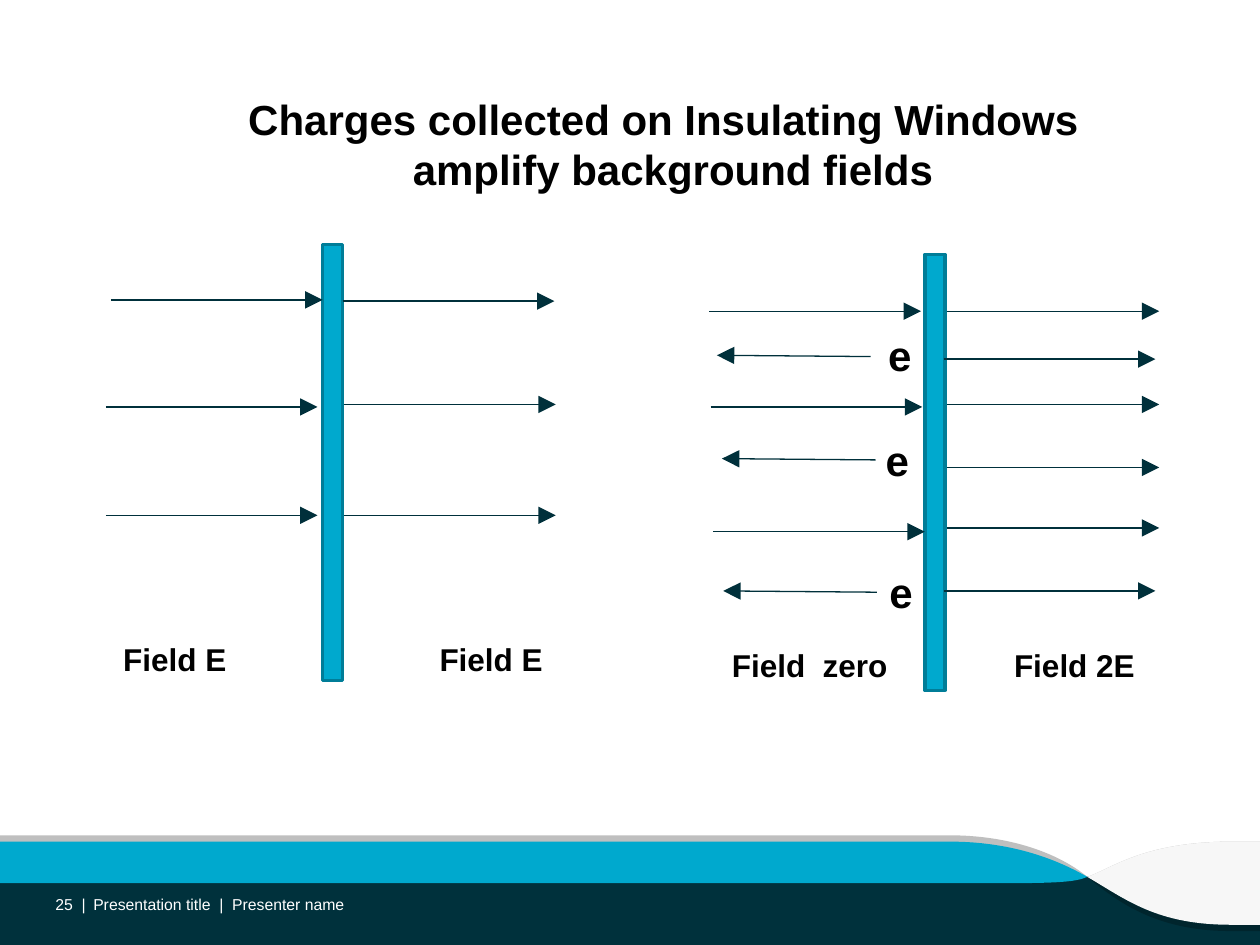
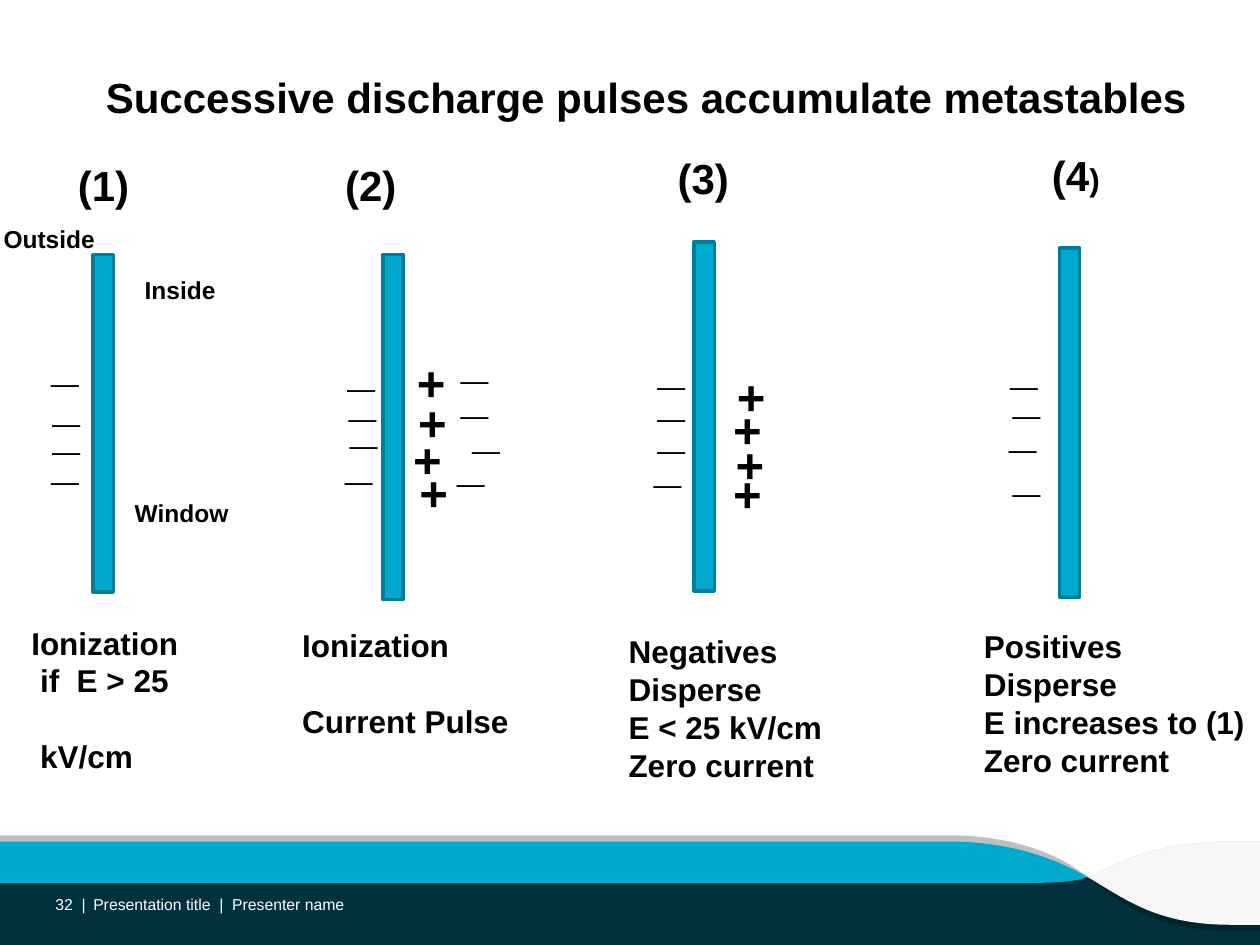
"""Build two slides on window charging, laid out on a grid of 100 columns by 75 rows."""
import dataclasses
import typing

import pptx
import pptx.dml.color
import pptx.enum.shapes
import pptx.enum.text
import pptx.oxml
import pptx.oxml.ns
import pptx.shapes.base
import pptx.slide
import pptx.util

COLUMNS, ROWS = 100, 75
WIDTH, HEIGHT = pptx.util.Inches(10), pptx.util.Inches(7.5)
FONT = "Arial"
BLACK, WHITE = "000000", "FFFFFF"
DEEP, EDGE, GREY, PALE = "00313C", "00252D", "BFBFBF", "F7F7F7"
CYAN, CYAN_LINE, ARROW = "00A9CE", "007D98", "00303B"
LEFT, CENTER, RIGHT = (pptx.enum.text.PP_ALIGN.LEFT, pptx.enum.text.PP_ALIGN.CENTER,
                       pptx.enum.text.PP_ALIGN.RIGHT)
TITLE_SIZE, LABEL_SIZE, NOTE_SIZE, CHARGE_SIZE, FOOTER_SIZE = 24, 18, 14, 28, 9
PANE_WIDTH = 1.6
LAYOUT_ID_OFFSET = 100

Point = tuple[float, float]
Step = tuple[float, ...]
FORWARD: Point = (16.8, 0)
BACKWARD: Point = (-12.2, -0.1)


class Area(typing.NamedTuple):
    """A rectangle in columns and rows."""
    left: float
    top: float
    width: float
    height: float


@dataclasses.dataclass(frozen=True)
class Label:
    """A piece of text in its place."""
    text: str
    area: Area
    size: float = LABEL_SIZE


@dataclasses.dataclass(frozen=True)
class Band:
    """A filled curve of the footer; steps hold one line end or three curve points."""
    color: str
    outlines: tuple[tuple[Step, ...], ...]


@dataclasses.dataclass(frozen=True)
class Stage:
    """One step of the discharge cycle."""
    number: str
    number_at: Point
    pane: Area
    caption: str
    caption_area: Area
    minuses: tuple[Point, ...]
    pluses: tuple[Point, ...] = ()
    gap_before: int = -1
    wrap: bool = True
    tail: str = ""


CROSSING = (86.3, 69.6)
RISE = (90.8, 66.8, 88.3, 68.9, *CROSSING)
TAPER = (84, 70.1, 85.4, 70, *CROSSING)
BANDS = (
    Band(GREY, (((100, 66.8), (97.8, 66.8), RISE, (100, 69.6)),
                ((75.4, 66.3), (0, 66.3), (0, 69.6), CROSSING,
                 (84, 67.7, 80.1, 66.3, 75.4, 66.3)))),
    Band(EDGE, ((CROSSING, (0, 69.6), (0, 70.1), (79.5, 70.1), TAPER),
                ((100, 69.6), CROSSING, (88.7, 71.6, 91.8, 73.9, 97.7, 73.9), (100, 73.9)))),
    Band(CYAN, ((CROSSING, (83.7, 68.1, 80.1, 66.8, 75.4, 66.8), (0, 66.8), (0, 70.1),
                 (79.5, 70.1), TAPER),)),
    Band(PALE, (((97.8, 66.8), RISE, (89.4, 71.4, 91.8, 73.4, 97.7, 73.4),
                 (100, 73.4), (100, 66.8)),)),
)

FIELD_PANES = (Area(25.6, 19.4, PANE_WIDTH, 34.6), Area(73.4, 20.2, PANE_WIDTH, 34.6))
FIELD_LABELS = (
    Label("Field E", Area(8.8, 50.3, 10.3, 4)),
    Label("Field E", Area(33.9, 50.3, 10.3, 4)),
    Label("Field 2E", Area(79.5, 50.8, 11.7, 4)),
    Label("Field  zero", Area(57.1, 50.8, 14.5, 4)),
    Label("e", Area(69.5, 25.7, 3.9, 5), TITLE_SIZE),
    Label("e", Area(69.3, 34, 3.9, 5), TITLE_SIZE),
    Label("e", Area(69.6, 44.5, 3.9, 5), TITLE_SIZE),
)
FORWARD_STARTS = (
    (8.8, 23.8), (8.4, 32.3), (8.4, 40.9), (27.2, 23.9), (27.3, 32.1), (27.3, 40.9),
    (56.3, 24.7), (56.4, 32.3), (56.6, 42.2), (75.2, 24.7), (74.9, 28.5), (75.2, 32.1),
    (75.2, 37.1), (75.2, 41.9), (74.9, 46.9),
)
BACKWARD_STARTS = ((69.1, 28.3), (69.5, 36.5), (69.6, 47))

STAGES = (
    Stage("(1)", (5.2, 12.2), Area(7.4, 20.2, PANE_WIDTH, 26.8),
          "Ionization\n if  E > 25\n kV/cm", Area(1.5, 49, 14.8, 13.1),
          ((3.1, 25.9), (3.2, 29.1), (3.2, 31.3), (3.1, 33.7)), gap_before=2),
    Stage("(2)", (26.4, 12.2), Area(30.4, 20.2, PANE_WIDTH, 27.4),
          "Ionization\nCurrent Pulse", Area(23, 49.2, 21.3, 10.1),
          ((26.6, 26.3), (26.7, 28.7), (26.8, 30.8), (26.4, 33.7),
           (35.6, 25.7), (35.6, 28.4), (36.5, 31.2), (35.3, 33.8)),
          ((32.1, 27.5), (32.2, 30.7), (31.8, 33.6), (32.3, 36.2)), gap_before=1),
    Stage("(3)", (52.8, 11.6), Area(55.1, 19.2, PANE_WIDTH, 27.7),
          "Negatives\nDisperse\nE < 25 kV/cm\nZero current", Area(48.9, 49.7, 17.5, 13.1),
          ((51.2, 26.1), (51.2, 28.7), (51.2, 31.2), (50.9, 33.9)),
          ((57.5, 28.6), (57.2, 31.2), (57.4, 34), (57.2, 36.3)), wrap=False),
    Stage("(4", (82.5, 11.4), Area(84.1, 19.7, PANE_WIDTH, 27.7),
          "Positives\nDisperse\nE increases to (1)\nZero current", Area(77.1, 49.3, 22.9, 13.1),
          ((79.2, 26.1), (79.4, 28.4), (79.1, 31.1), (79.4, 34.6)), tail=")"),
)
SIDE_NOTES = (
    Label("Outside", Area(-0.7, 17.3, 9.3, 3.4), NOTE_SIZE),
    Label("Inside", Area(10.5, 21.3, 7.7, 3.4), NOTE_SIZE),
    Label("Window", Area(9.7, 39, 9.5, 3.4), NOTE_SIZE),
)


def across(columns: float) -> pptx.util.Emu:
    """Turn columns into a length."""
    return pptx.util.Emu(round(columns * WIDTH / COLUMNS))


def down(rows: float) -> pptx.util.Emu:
    """Turn rows into a length."""
    return pptx.util.Emu(round(rows * HEIGHT / ROWS))


def place(area: Area) -> tuple[pptx.util.Emu, ...]:
    """Turn a grid area into left, top, width and height."""
    return across(area.left), down(area.top), across(area.width), down(area.height)


def paint(target: typing.Any, color: str) -> None:
    """Give a fill or a line one solid colour."""
    fill = getattr(target, "fill", target)
    fill.solid()
    fill.fore_color.rgb = pptx.dml.color.RGBColor.from_string(color)


def write(box: pptx.shapes.base.BaseShape, text: str, *, size: float = LABEL_SIZE,
          color: str = BLACK, bold: bool = True, wrap: bool = False,
          aligns: tuple = (LEFT,), footer: bool = False,
          gap_before: int = -1, tail: str = "") -> None:
    """Fill a box with formatted paragraphs, one for each line of the text."""
    frame = box.text_frame
    frame.word_wrap = wrap
    sizing, anchors = pptx.enum.text.MSO_AUTO_SIZE, pptx.enum.text.MSO_ANCHOR
    frame.auto_size = sizing.NONE if footer else sizing.SHAPE_TO_FIT_TEXT
    frame.vertical_anchor = anchors.MIDDLE if footer else anchors.TOP
    frame.margin_left = frame.margin_right = across(0 if footer else 1)
    frame.margin_top = frame.margin_bottom = down(0 if footer else 0.5)
    for index, line in enumerate(text.split("\n")):
        para = frame.paragraphs[0] if index == 0 else frame.add_paragraph()
        para.alignment = aligns[min(index, len(aligns) - 1)]
        para.space_before = pptx.util.Pt(1.2 * size if index == gap_before else 0)
        for part, part_size in ((line, size), (tail, LABEL_SIZE)):
            if part:
                span = para.add_run()
                span.text = part
                span.font.name = FONT
                span.font.size = pptx.util.Pt(part_size)
                span.font.bold = bold
                paint(span.font, color)


def add_text(page: pptx.slide.Slide, text: str, area: Area, **style: typing.Any) -> None:
    """Add a text box in a grid area."""
    write(page.shapes.add_textbox(*place(area)), text, **style)


def add_labels(page: pptx.slide.Slide, labels: tuple[Label, ...]) -> None:
    """Add each label as a text box."""
    for label in labels:
        add_text(page, label.text, label.area, size=label.size)


def add_block(page: pptx.slide.Slide, area: Area, color: str,
              border: str = "") -> pptx.shapes.base.BaseShape:
    """Add a rectangle, with a border when its colour is given."""
    block = page.shapes.add_shape(pptx.enum.shapes.MSO_SHAPE.RECTANGLE, *place(area))
    block.shadow.inherit = False
    paint(block, color)
    if border:
        paint(block.line, border)
        block.line.width = pptx.util.Pt(2)
    else:
        block.line.fill.background()
    return block


def add_arrow(page: pptx.slide.Slide, start: Point, reach: Point) -> None:
    """Add an arrow that reaches some columns and rows from its start."""
    left, top = start
    arrow = page.shapes.add_connector(
        pptx.enum.shapes.MSO_CONNECTOR.STRAIGHT, across(left), down(top),
        across(left + reach[0]), down(top + reach[1]))
    paint(arrow.line, ARROW)
    arrow.line.width = pptx.util.Pt(0.75)
    namespace = pptx.oxml.ns.nsdecls("a")
    line = arrow.line._get_or_add_ln()
    line.append(pptx.oxml.parse_xml(
        f'<a:tailEnd {namespace} type="triangle" w="lg" len="lg"/>'))
    line.addnext(pptx.oxml.parse_xml(f"<a:effectLst {namespace}/>"))


def add_band(page: pptx.slide.Slide, band: Band) -> pptx.shapes.base.BaseShape:
    """Add one band of the footer and bend its three-point steps into curves."""
    builder = None
    for outline in band.outlines:
        start, *points = [(across(step[axis]), down(step[axis + 1]))
                          for step in outline for axis in range(0, len(step), 2)]
        if builder is None:
            builder = page.shapes.build_freeform(*start)
        else:
            builder.move_to(*start)
        builder.add_line_segments(points, close=True)
    shape = builder.convert_to_shape()
    segments = iter(shape._element.findall(f".//{pptx.oxml.ns.qn('a:lnTo')}"))
    for step in (step for outline in band.outlines for step in outline[1:]):
        lines = [next(segments) for _ in range(len(step) // 2)]
        if len(lines) == 3:
            curve = pptx.oxml.parse_xml(f"<a:cubicBezTo {pptx.oxml.ns.nsdecls('a')}/>")
            lines[0].addprevious(curve)
            for line in lines:
                curve.append(line[0])
                line.getparent().remove(line)
    shape.shadow.inherit = False
    paint(shape, band.color)
    shape.line.fill.background()
    return shape


def move_bands_to_layout(page: pptx.slide.Slide) -> None:
    """Draw the footer bands once and hand them to the layout of the page."""
    shapes = [add_block(page, Area(0, 69.6, COLUMNS, 5.4), DEEP)]
    shapes += [add_band(page, band) for band in BANDS]
    for shape in shapes:
        shape._element.nvSpPr.cNvPr.set("id", str(LAYOUT_ID_OFFSET + shape.shape_id))
        page.slide_layout.shapes._spTree.append(shape._element)


def add_page(deck: typing.Any, number: int, title: str, area: Area,
             aligns: tuple = (LEFT,)) -> pptx.slide.Slide:
    """Add a page with its title and footer text."""
    page = deck.slides.add_slide(deck.slide_layouts[5])
    heading = page.shapes.title
    heading.left, heading.top, heading.width, heading.height = place(area)
    write(heading, title, size=TITLE_SIZE, aligns=aligns)
    for text, left, width, align in (
            ("Presentation title  |  Presenter name", 7.4, 66.5, LEFT),
            (f"{number}  |", 3.6, 3.2, RIGHT)):
        add_text(page, text, Area(left, 71.1, width, 1.4), size=FOOTER_SIZE, color=WHITE,
                 bold=False, wrap=True, aligns=(align,), footer=True)
    return page


def add_fields_page(deck: typing.Any) -> pptx.slide.Slide:
    """Show the field on both sides of a clean and a charged window."""
    page = add_page(deck, 25, "Charges collected on Insulating Windows\n amplify background fields",
                    Area(18.7, 6.9, 68.5, 9.1), (LEFT, CENTER))
    for pane in FIELD_PANES:
        add_block(page, pane, CYAN, CYAN_LINE)
    add_labels(page, FIELD_LABELS)
    for starts, reach in ((FORWARD_STARTS, FORWARD), (BACKWARD_STARTS, BACKWARD)):
        for start in starts:
            add_arrow(page, start, reach)
    return page


def add_stages_page(deck: typing.Any) -> None:
    """Show the four stages of a discharge pulse."""
    page = add_page(deck, 32, "Successive discharge pulses accumulate metastables",
                    Area(7.4, 5.2, 88.7, 5))
    for stage in STAGES:
        add_block(page, stage.pane, CYAN, CYAN_LINE)
        add_text(page, stage.number, Area(*stage.number_at, 6.1, 5), size=TITLE_SIZE,
                 tail=stage.tail)
        for sign, spots in (("_", stage.minuses), ("+", stage.pluses)):
            for spot in spots:
                add_text(page, sign, Area(*spot, 4.2, 5.7), size=CHARGE_SIZE)
        add_text(page, stage.caption, stage.caption_area, wrap=stage.wrap,
                 gap_before=stage.gap_before)
    add_labels(page, SIDE_NOTES)


def main() -> None:
    """Build and save the deck."""
    deck = pptx.Presentation()
    deck.slide_width, deck.slide_height = WIDTH, HEIGHT
    move_bands_to_layout(add_fields_page(deck))
    add_stages_page(deck)
    deck.save("out.pptx")


if __name__ == "__main__":
    main()
